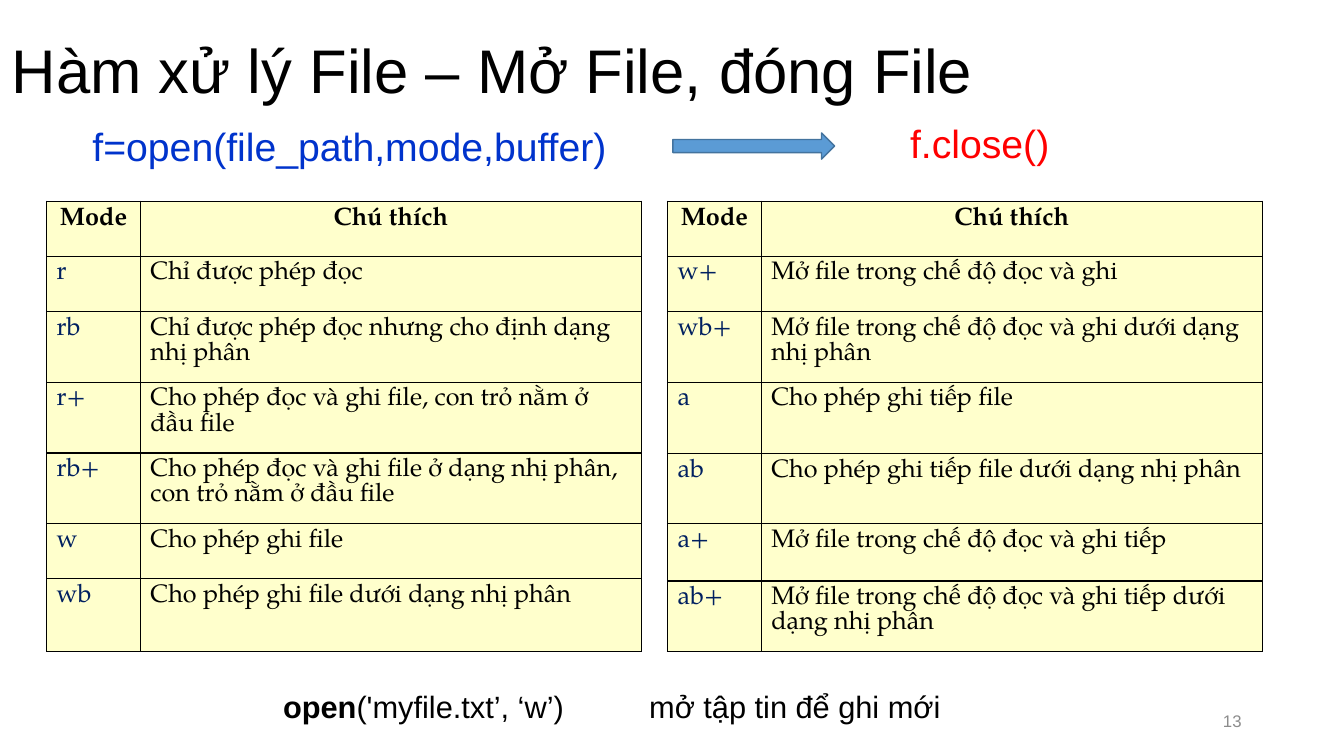
from pptx import Presentation
from pptx.dml.color import RGBColor
from pptx.enum import shapes, text
from pptx.oxml import parse_xml
from pptx.oxml.ns import nsdecls
from pptx.util import Pt

BLACK, NAVY, CREAM = "000000", "002060", "FFFFCC"
SERIF = "TeX Gyre Pagella"
ALIGN, ANCHOR = text.PP_ALIGN, text.MSO_ANCHOR
COLUMNS = (67, 357.8)
TABLE_TOP = 143.8

READ_MODES = [
    ("Mode", "Chú thích", 39.4),
    ("r", "Chỉ được phép đọc", 39.4),
    ("rb", "Chỉ được phép đọc nhưng cho định dạng nhị phân", 50.5),
    ("r+", "Cho phép đọc và ghi file, con trỏ nằm ở đầu file", 50.5),
    ("rb+", "Cho phép đọc và ghi file ở dạng nhị phân, con trỏ nằm ở đầu file", 50.5),
    ("w", "Cho phép ghi file", 39.4),
    ("wb", "Cho phép ghi file dưới dạng nhị phân", 52),
]
WRITE_MODES = [
    ("Mode", "Chú thích", 39.4),
    ("w+", "Mở file trong chế độ đọc và ghi", 39.4),
    ("wb+", "Mở file trong chế độ đọc và ghi dưới dạng nhị phân", 50.5),
    ("a", "Cho phép ghi tiếp file", 51),
    ("ab", "Cho phép ghi tiếp file dưới dạng nhị phân", 50),
    ("a+", "Mở file trong chế độ đọc và ghi tiếp", 41),
    ("ab+", "Mở file trong chế độ đọc và ghi tiếp dưới dạng nhị phân", 50.5),
]


def rgb(color):
    return RGBColor.from_string(color)


def add_run(p, words, *, size, color=BLACK, font="Arial", bold=False):
    r = p.add_run()
    r.text = words
    f = r.font
    f.name, f.size, f.bold = font, Pt(size), bold
    f.color.rgb = rgb(color)


def add_text(s, words, box, *, align=ALIGN.LEFT, anchor=ANCHOR.TOP, spacing=None, **fmt):
    """Add a text box and return its paragraph, so that more runs can follow."""
    tf = s.shapes.add_textbox(*map(Pt, box)).text_frame
    tf.word_wrap = True
    tf.vertical_anchor = anchor
    p = tf.paragraphs[0]
    p.alignment, p.line_spacing = align, spacing
    add_run(p, words, **fmt)
    return p


def add_tab_stop(p, pos):
    p._p.get_or_add_pPr().append(parse_xml(
        f'<a:tabLst {nsdecls("a")}><a:tab pos="{Pt(pos)}" algn="l"/></a:tabLst>'))


def add_borders(cell):
    for side in "LRTB":
        cell._tc.get_or_add_tcPr().append(parse_xml(
            f'<a:ln{side} {nsdecls("a")} w="{Pt(1)}"><a:solidFill>'
            f'<a:srgbClr val="{BLACK}"/></a:solidFill></a:ln{side}>'))


def fill_cell(cell, words, *, align, **fmt):
    add_borders(cell)
    cell.fill.solid()
    cell.fill.fore_color.rgb = rgb(CREAM)
    p = cell.text_frame.paragraphs[0]
    p.alignment, p.line_spacing = align, Pt(18.2)
    add_run(p, words, size=18, font=SERIF, **fmt)


def add_mode_table(s, left, rows):
    height = sum(row[-1] for row in rows)
    table = s.shapes.add_table(len(rows), len(COLUMNS), Pt(left), Pt(TABLE_TOP),
                               Pt(sum(COLUMNS)), Pt(height)).table
    for column, width in zip(table.columns, COLUMNS):
        column.width = Pt(width)
    for i, (mode, note, row_height) in enumerate(rows):
        table.rows[i].height = Pt(row_height)
        header = i == 0
        align = ALIGN.CENTER if header else ALIGN.LEFT
        fill_cell(table.cell(i, 0), mode, align=align, bold=header,
                  color=BLACK if header else NAVY)
        fill_cell(table.cell(i, 1), note, align=align, bold=header)


def add_arrow(s, box, *, fill, line):
    sp = s.shapes.add_shape(shapes.MSO_SHAPE.RIGHT_ARROW, *map(Pt, box))
    sp.shadow.inherit = False
    sp.fill.solid()
    sp.fill.fore_color.rgb = rgb(fill)
    sp.line.color.rgb = rgb(line)
    sp.line.width = Pt(1)


def main():
    prs = Presentation()
    prs.slide_width, prs.slide_height = Pt(960), Pt(540)
    s = prs.slides.add_slide(prs.slide_layouts[6])

    add_text(s, "Hàm xử lý File – Mở File, đóng File", (1.4, 0, 958, 104.4),
             size=44, anchor=ANCHOR.MIDDLE, spacing=0.9)
    add_text(s, "13", (678, 500.4, 216, 28.8), size=12, color="8C8C8C",
             align=ALIGN.RIGHT, anchor=ANCHOR.MIDDLE)
    add_text(s, "f=open(file_path,mode,buffer)", (59, 83.5, 515.5, 41),
             size=28, color="0033CC")
    add_mode_table(s, 33.3, READ_MODES)
    add_mode_table(s, 476.8, WRITE_MODES)
    example = add_text(s, "open", (195.1, 487.4, 490.3, 33.8), size=22, bold=True)
    add_run(example, "('myfile.txt’, ‘w’)\tmở tập tin để ghi mới", size=22)
    add_tab_stop(example, 261.5)
    add_text(s, "f.close()", (643, 82, 223.2, 41), size=28, color="FF0000")
    add_arrow(s, (480.6, 95, 115.5, 18.7), fill="5B9BD5", line="43739E")

    prs.save("out.pptx")


if __name__ == "__main__":
    main()
